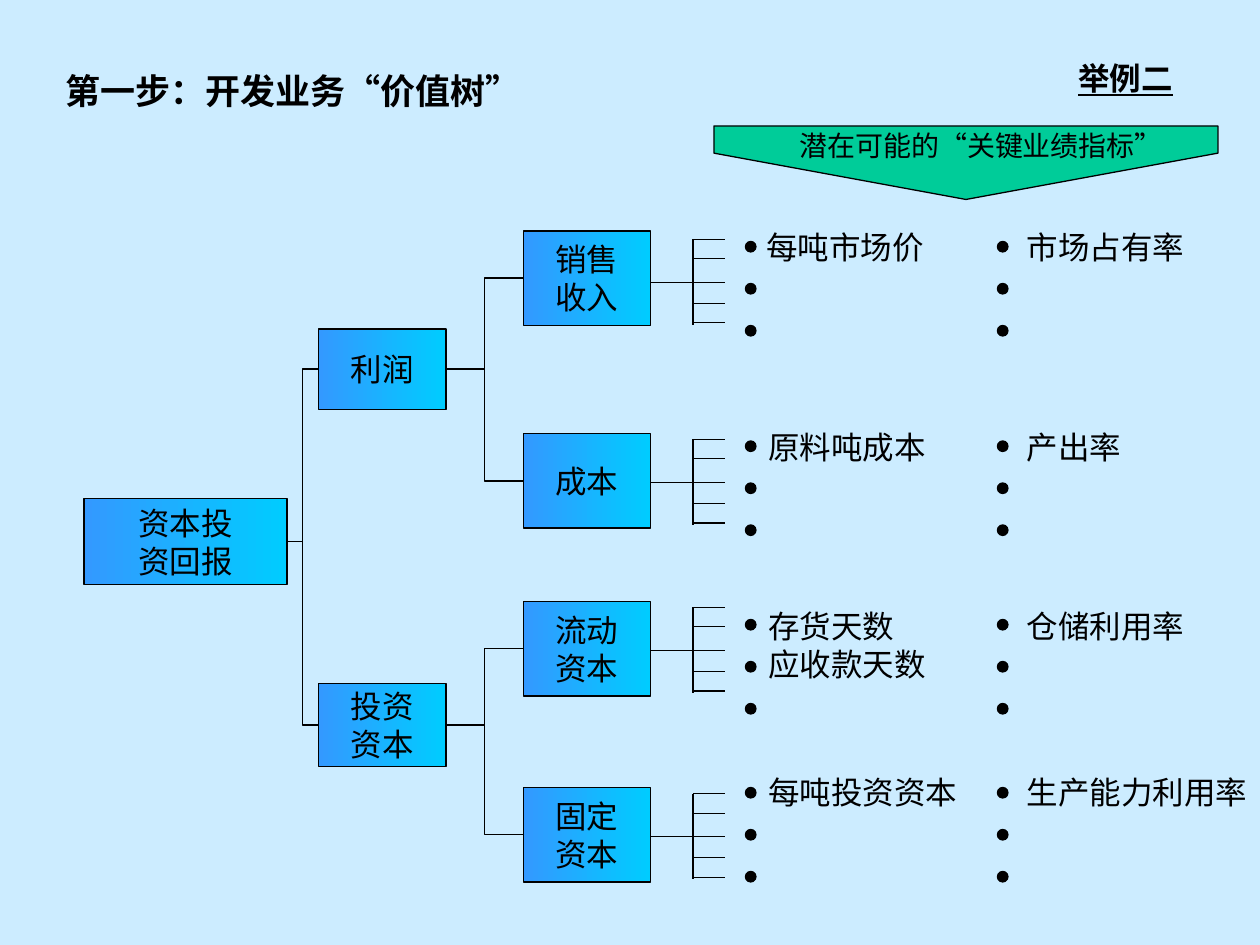
import pptx
import pptx.dml.color
import pptx.enum.dml
import pptx.enum.lang
import pptx.enum.shapes
import pptx.enum.text
import pptx.oxml
import pptx.util

SHAPES = pptx.enum.shapes.MSO_SHAPE
CONNECTORS = pptx.enum.shapes.MSO_CONNECTOR
ALIGN = pptx.enum.text.PP_ALIGN
COLORS = {
    "background": "CCECFF",
    "ink": "000000",
    "box_left": "3399FF",
    "box_right": "00CCFF",
    "arrow": "00CC99",
}
COLUMNS, ROWS = 120, 90
RIGHT, LEFT = 3, 1


def color(name):
    return pptx.dml.color.RGBColor.from_string(COLORS[name])


class TreeSlide:
    """Draws on one slide; every length is in columns and rows of its grid."""

    font_name = "Times New Roman"
    line_width = pptx.util.Pt(0.75)

    def __init__(self, presentation):
        self.column = presentation.slide_width / COLUMNS
        self.row = presentation.slide_height / ROWS
        self.slide = presentation.slides.add_slide(presentation.slide_layouts[5])
        fill = self.slide.background.fill
        fill.solid()
        fill.fore_color.rgb = color("background")

    def grid(self, x, y):
        return round(x * self.column), round(y * self.row)

    def area(self, x, y, width, height):
        return *self.grid(x, y), *self.grid(width, height)

    def add_lines(self, shape, lines, size=18, align=ALIGN.LEFT, bold=None, underline=None):
        frame = shape.text_frame
        for index, line in enumerate(lines):
            paragraph = frame.paragraphs[0] if index == 0 else frame.add_paragraph()
            paragraph.alignment = align
            run = paragraph.add_run()
            run.text = line
            font = run.font
            font.name, font.size = self.font_name, pptx.util.Pt(size)
            font.bold, font.underline = bold, underline
            font.color.rgb = color("ink")
            font.language_id = pptx.enum.lang.MSO_LANGUAGE_ID.SIMPLIFIED_CHINESE

    def title(self, text, *area):
        shape = self.slide.shapes.title
        shape.left, shape.top, shape.width, shape.height = self.area(*area)
        shape.text_frame.vertical_anchor = pptx.enum.text.MSO_ANCHOR.TOP
        shape.text_frame.auto_size = pptx.enum.text.MSO_AUTO_SIZE.SHAPE_TO_FIT_TEXT
        self.add_lines(shape, [text], size=20, bold=True)

    def label(self, lines, *area, **style):
        shape = self.slide.shapes.add_textbox(*self.area(*area))
        shape.text_frame.word_wrap = False
        shape.text_frame.auto_size = pptx.enum.text.MSO_AUTO_SIZE.SHAPE_TO_FIT_TEXT
        self.add_lines(shape, lines, **style)

    def shape(self, kind, area, fill_name=None):
        shape = self.slide.shapes.add_shape(kind, *self.area(*area))
        shape.shadow.inherit = False
        shape.line.color.rgb = color("ink")
        shape.line.width = self.line_width
        if fill_name:
            shape.fill.solid()
            shape.fill.fore_color.rgb = color(fill_name)
        return shape

    def box(self, lines, *area):
        shape = self.shape(SHAPES.RECTANGLE, area)
        shape.fill.gradient()
        shape.fill.gradient_angle = 0
        for stop, name in zip(shape.fill.gradient_stops, ("box_left", "box_right")):
            stop.color.rgb = color(name)
        shape.text_frame.word_wrap = False
        shape.text_frame.vertical_anchor = pptx.enum.text.MSO_ANCHOR.MIDDLE
        self.add_lines(shape, lines, align=ALIGN.CENTER)
        return shape

    def connector(self, shapes, kind, start=(0, 0), end=(0, 0)):
        connector = shapes.add_connector(kind, *self.grid(*start), *self.grid(*end))
        connector.line.color.rgb = color("ink")
        connector.line.width = self.line_width
        properties = connector._element.spPr
        properties.append(pptx.oxml.parse_xml(
            '<a:effectLst xmlns:a="http://schemas.openxmlformats.org/drawingml/2006/main"/>'))
        return connector

    def branch(self, parent, child):
        connector = self.connector(self.slide.shapes, CONNECTORS.ELBOW)
        connector.begin_connect(parent, RIGHT)
        connector.end_connect(child, LEFT)

    def fan(self, top):
        """Splits the way out of a box into five short lines."""
        shapes = self.slide.shapes.add_group_shape().shapes
        offsets = (0, 1.85, 4.1, 6.1, 7.95)
        middle = top + offsets[2]
        lines = [((62, middle), (66, middle)), ((66, top), (66, top + 8.15))]
        lines += [((66, top + offset), (69, top + offset)) for offset in offsets]
        for start, end in lines:
            self.connector(shapes, CONNECTORS.STRAIGHT, start, end)

    def dots(self, x, top):
        for index in range(3):
            self.shape(SHAPES.OVAL, (x, top + 4 * index, 1, 1), "ink")

    def measure(self, lines, x, y):
        """Adds a measure in a box fitted to its full-width characters."""
        width = 3 * max(map(len, lines)) + 2.4
        self.label(lines, x, y, width, 3.6 * len(lines) + 1.2)


def main():
    presentation = pptx.Presentation()
    presentation.slide_width = pptx.util.Inches(10)
    presentation.slide_height = pptx.util.Inches(7.5)
    tree = TreeSlide(presentation)

    tree.title("第一步：开发业务“价值树”", 5, 6, 58, 5.25)
    tree.label(["举例二"], 101.5, 5, 11.4, 4.8, bold=True, underline=True)
    arrow = tree.shape(SHAPES.DOWN_ARROW, (68, 12, 48, 7), "arrow")
    arrow.adjustments[0], arrow.adjustments[1] = 1, 0.63
    tree.label(["潜在可能的“关键业绩指标”"], 75, 11.65, 37, 4.45, size=16)

    root = tree.box(["资本投", "资回报"], 8, 47.5, 19.33, 8.2)
    profit = tree.box(["利润"], 30.33, 31.33, 12.15, 7.65)
    capital = tree.box(["投资", "资本"], 30.33, 65.1, 12.15, 7.9)
    for child in (profit, capital):
        tree.branch(root, child)

    # Parent, box text, box top, fan top, first dot, text row, measures (text, column)
    drivers = [
        (profit, ["销售", "收入"], 22, 22.8, 23, 21.1,
         [(["每吨市场价"], 71.8), (["市场占有率"], 96.6)]),
        (profit, ["成本"], 41.3, 41.85, 42, 40.2,
         [(["原料吨成本"], 72), (["产出率"], 96.6)]),
        (capital, ["流动", "资本"], 57.3, 57.85, 59, 57.25,
         [(["存货天数", "应收款天数"], 72), (["仓储利用率"], 96.6)]),
        (capital, ["固定", "资本"], 75, 75.6, 75, 73,
         [(["每吨投资资本"], 72), (["生产能力利用率"], 96.6)]),
    ]
    for parent, name, box_top, fan_top, dot_top, text_top, measures in drivers:
        tree.branch(parent, tree.box(name, 49.83, box_top, 12.15, 9))
        tree.fan(fan_top)
        for dot_x, (lines, text_x) in zip((71, 95), measures):
            tree.dots(dot_x, dot_top)
            tree.measure(lines, text_x, text_top)

    presentation.save("out.pptx")


if __name__ == "__main__":
    main()
